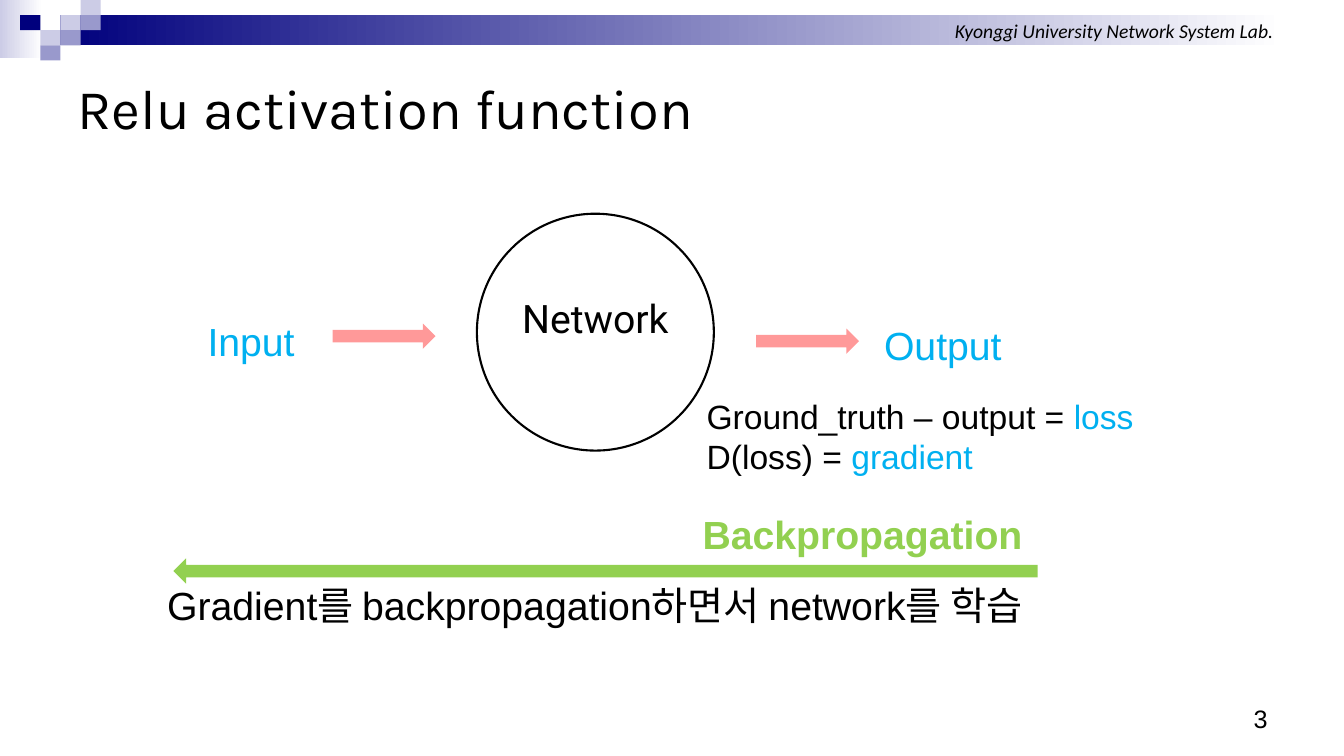
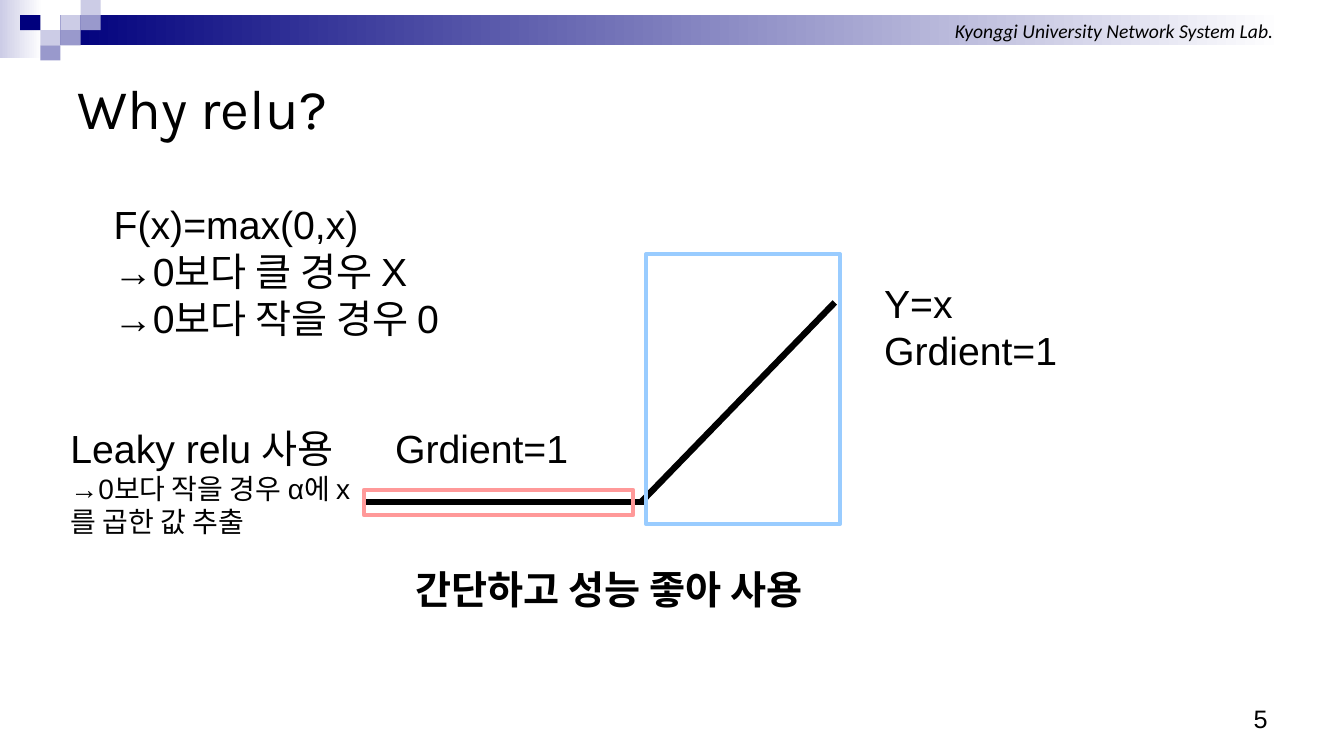
from dataclasses import dataclass

from lxml import etree
from pptx import Presentation
from pptx.dml.color import RGBColor
from pptx.enum.shapes import MSO_CONNECTOR, MSO_SHAPE
from pptx.enum.text import MSO_ANCHOR, PP_ALIGN
from pptx.oxml.ns import qn
from pptx.util import Inches, Pt

RECTANGLE = MSO_SHAPE.RECTANGLE
OVAL = MSO_SHAPE.OVAL
RIGHT_ARROW = MSO_SHAPE.RIGHT_ARROW
STRAIGHT = MSO_CONNECTOR.STRAIGHT
LEFT, CENTER, RIGHT = PP_ALIGN.LEFT, PP_ALIGN.CENTER, PP_ALIGN.RIGHT
TOP, MIDDLE, BOTTOM = MSO_ANCHOR.TOP, MSO_ANCHOR.MIDDLE, MSO_ANCHOR.BOTTOM
TITLE_ONLY = 5


@dataclass(frozen=True)
class Theme:
    black: str = "000000"
    white: str = "FFFFFF"
    navy: str = "00007D"
    lavender: str = "CCCCE6"
    violet: str = "9999CC"
    cyan: str = "00B0F0"
    pink: str = "FF9999"
    green: str = "92D050"
    sky: str = "99CCFF"
    title_font: str = "Karla"
    body_font: str = "Arial"
    header_font: str = "Calibri"
    node_font: str = "Roboto"
    title_size: int = 40
    body_size: int = 28
    formula_size: int = 24
    note_size: int = 20
    number_size: int = 18
    header_size: int = 14


THEME = Theme()
LAB_NAME = "Kyonggi University Network System Lab."
TILE_WIDTH, TILE_HEIGHT = 0.2, 0.15
TILES = [
    (3, 1, THEME.lavender), (4, 0, THEME.lavender), (4, 1, THEME.violet),
    (2, 2, THEME.lavender), (1, 1, THEME.navy), (3, 2, THEME.violet),
    (2, 3, THEME.violet),
]


def rgb(value):
    return RGBColor.from_string(value)


def add_span(para, text, color=THEME.black, size=THEME.body_size,
             font=THEME.body_font, bold=False, italic=False):
    span = para.add_run()
    span.text = text
    span.font.name = font
    span.font.size = Pt(size)
    span.font.bold = bold
    span.font.italic = italic
    span.font.color.rgb = rgb(color)


def write(shape, paragraphs, align=LEFT, anchor=TOP, **style):
    frame = shape.text_frame
    frame.word_wrap = True
    frame.vertical_anchor = anchor
    for index, spans in enumerate(paragraphs):
        para = frame.add_paragraph() if index else frame.paragraphs[0]
        para.alignment = align
        for text, changes in spans:
            add_span(para, text, **{**style, **changes})


def line_of(text, **changes):
    return [(text, changes)]


def add_text(page, bounds, paragraphs, **style):
    box = page.shapes.add_textbox(*map(Inches, bounds))
    write(box, paragraphs, **style)


def add_figure(page, kind, bounds, fill=None, line=None, weight=1.5):
    figure = page.shapes.add_shape(kind, *map(Inches, bounds))
    figure.shadow.inherit = False
    if fill:
        figure.fill.solid()
        figure.fill.fore_color.rgb = rgb(fill)
    else:
        figure.fill.background()
    if line:
        figure.line.color.rgb = rgb(line)
        figure.line.width = Pt(weight)
    else:
        figure.line.fill.background()
    return figure


def add_fading_band(page, bounds, start):
    band = add_figure(page, RECTANGLE, bounds)
    band.fill.gradient()
    band.fill.gradient_angle = 0
    for stop, color in zip(band.fill.gradient_stops, (start, THEME.white)):
        stop.color.rgb = rgb(color)
    return band


def add_line(page, start, end):
    line = page.shapes.add_connector(STRAIGHT, *map(Inches, start + end))
    line.line.color.rgb = rgb(THEME.black)
    line.line.width = Pt(4.5)
    etree.SubElement(line._element.spPr, qn("a:effectLst"))


def add_page(deck, title, number):
    page = deck.slides.add_slide(deck.slide_layouts[TITLE_ONLY])
    add_fading_band(page, (0, 0, 0.42, 0.58), THEME.lavender)
    header = add_fading_band(page, (0.6, 0.15, 12.13, 0.3), THEME.navy)
    write(header, [line_of(LAB_NAME)], align=RIGHT, anchor=MIDDLE,
          font=THEME.header_font, size=THEME.header_size, italic=True)
    for column, row, color in TILES:
        corner = (column * TILE_WIDTH, row * TILE_HEIGHT)
        add_figure(page, RECTANGLE, corner + (TILE_WIDTH, TILE_HEIGHT), fill=color)

    heading = page.shapes.title
    heading.left, heading.top = Inches(0.67), Inches(0.5)
    heading.width, heading.height = Inches(12), Inches(1.12)
    write(heading, [line_of(title)], anchor=MIDDLE,
          font=THEME.title_font, size=THEME.title_size)
    add_text(page, (9.56, 6.83, 3.11, 0.5), [line_of(str(number))],
             align=RIGHT, anchor=BOTTOM, size=THEME.number_size)
    return page


def build_activation_page(deck):
    page = add_page(deck, "Relu activation function", 3)
    add_text(page, (1.96, 3.1, 1.18, 0.57), [line_of("Input")], color=THEME.cyan)
    add_text(page, (8.67, 3.14, 1.43, 0.57), [line_of("Output")], color=THEME.cyan)

    network = add_figure(page, OVAL, (4.73, 2.12, 2.35, 2.35), line=THEME.black)
    network.text_frame.margin_bottom = Inches(0.33)
    write(network, [line_of("Network")], align=CENTER, anchor=MIDDLE,
          font=THEME.node_font)
    for left, top in ((3.3, 3.21), (7.5, 3.26)):
        add_figure(page, RIGHT_ARROW, (left, top, 1.02, 0.25), fill=THEME.pink)

    add_text(page, (6.91, 3.88, 4.65, 0.91), [
        [("Ground_truth – output = ", {}), ("loss", {"color": THEME.cyan})],
        [("D(loss) = ", {}), ("gradient", {"color": THEME.cyan})],
    ], size=THEME.formula_size)

    backward = add_figure(page, RIGHT_ARROW, (1.72, 5.54, 8.57, 0.25),
                          fill=THEME.green)
    backward.rotation = 180
    add_text(page, (6.87, 5.01, 3.87, 0.57), [line_of("Backpropagation")],
             color=THEME.green, bold=True)
    add_text(page, (1.56, 5.72, 9.08, 0.57),
             [line_of("Gradient를 backpropagation하면서 network를 학습")])


def build_reason_page(deck):
    page = add_page(deck, "Why relu?", 5)
    add_text(page, (1.03, 1.94, 3.94, 1.51), [
        line_of("F(x)=max(0,x)"),
        line_of("→0보다 클 경우 X"),
        line_of("→0보다 작을 경우 0"),
    ])
    add_line(page, (3.6, 4.98), (6.43, 4.98))
    add_line(page, (6.36, 4.98), (8.28, 3))
    add_figure(page, RECTANGLE, (6.41, 2.52, 1.92, 2.68), line=THEME.sky, weight=3)
    add_figure(page, RECTANGLE, (3.61, 4.86, 2.67, 0.25), line=THEME.pink, weight=3)

    add_text(page, (8.67, 2.72, 2.05, 1.04),
             [line_of("Y=x"), line_of("Grdient=1")])
    add_text(page, (3.82, 4.16, 2.05, 0.57), [line_of("Grdient=1")])
    add_text(page, (0.6, 4.16, 3.02, 1.25), [
        line_of("Leaky relu 사용"),
        line_of("→0보다 작을 경우 α에 x를 곱한 값 추출", size=THEME.note_size),
    ])
    add_text(page, (4.02, 5.56, 5.29, 0.57),
             [line_of("간단하고 성능 좋아 사용")], bold=True)


def main():
    deck = Presentation()
    deck.slide_width, deck.slide_height = Inches(13.33), Inches(7.5)
    build_activation_page(deck)
    build_reason_page(deck)
    deck.save("out.pptx")


if __name__ == "__main__":
    main()
